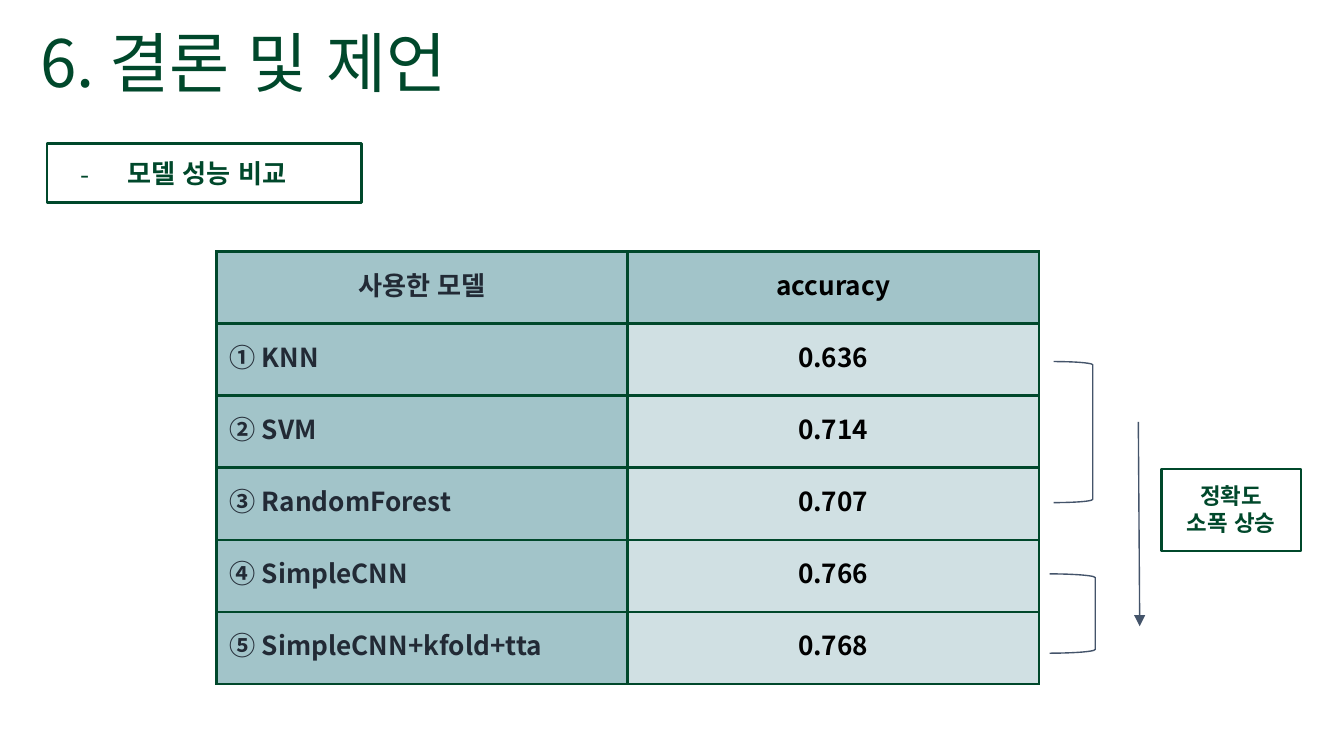
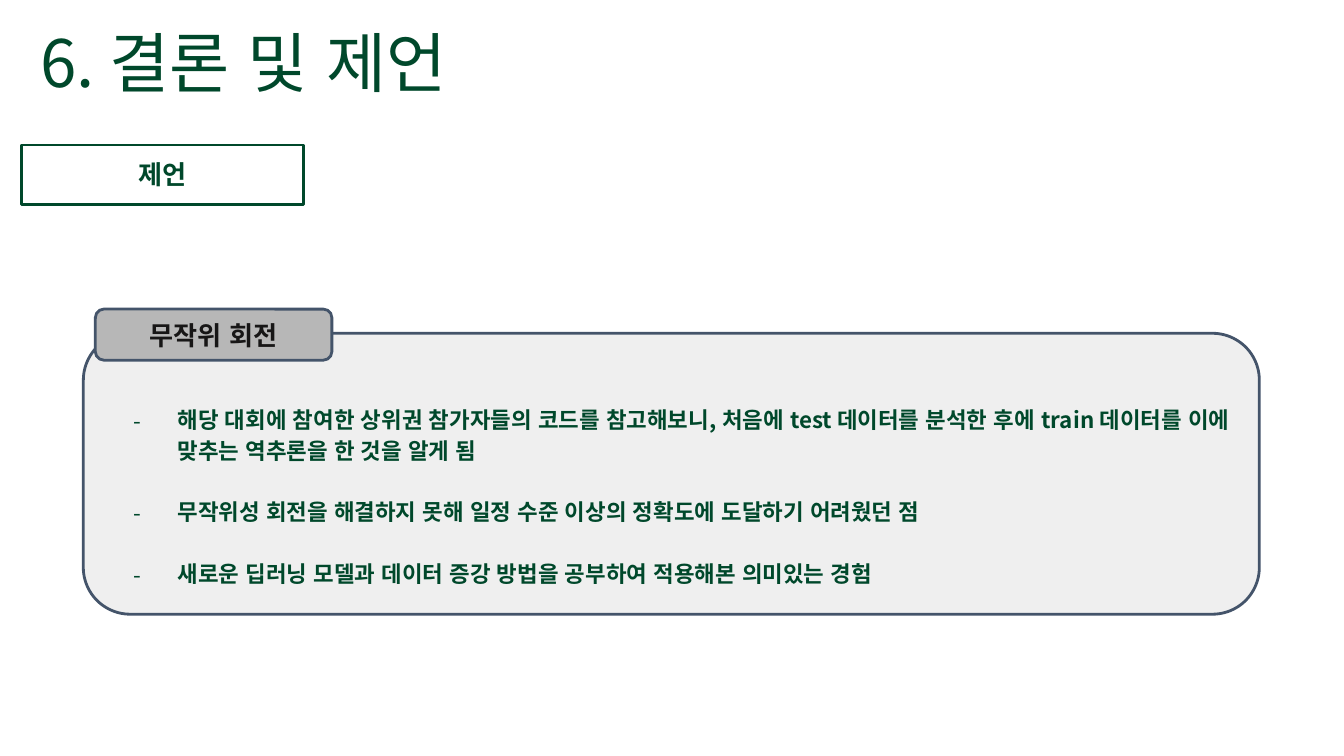
from pptx import Presentation
from pptx.dml.color import RGBColor
from pptx.enum.lang import MSO_LANGUAGE_ID
from pptx.enum.shapes import MSO_CONNECTOR, MSO_SHAPE
from pptx.enum.text import MSO_ANCHOR, MSO_AUTO_SIZE, PP_ALIGN
from pptx.oxml.ns import qn
from pptx.util import Inches, Pt
from lxml.etree import SubElement

FONT = "Noto Sans CJK KR"
GREEN, SLATE, TEAL, PALE_TEAL = "00482B", "44546A", "A2C4C9", "D0E0E3"
hex_color = RGBColor.from_string


def write_text(frame, lines, size, color=GREEN, bold=True, align=PP_ALIGN.LEFT,
               hanging=None, line_spacing=None, gap=None):
    """Write one paragraph per line; hanging is the dash bullet's outdent in inches."""
    for index, line in enumerate(lines):
        paragraph = frame.paragraphs[0] if index == 0 else frame.add_paragraph()
        paragraph.alignment = align
        if line_spacing:
            paragraph.line_spacing = line_spacing
        if gap and index:
            paragraph.space_before = Pt(gap)
        if hanging:
            properties = paragraph._p.get_or_add_pPr()
            properties.set("marL", str(Inches(0.5)))
            properties.set("indent", str(-Inches(hanging)))
            bullet_color = SubElement(properties, qn("a:buClr"))
            SubElement(bullet_color, qn("a:srgbClr"), val=color)
            SubElement(properties, qn("a:buFont"), typeface=FONT)
            SubElement(properties, qn("a:buChar"), char="-")
        run = paragraph.add_run()
        run.text = line
        run.font.name = FONT
        run.font.size = Pt(size)
        run.font.bold = bold
        run.font.language_id = MSO_LANGUAGE_ID.KOREAN
        run.font.color.rgb = hex_color(color)
        SubElement(run._r.get_or_add_rPr(), qn("a:ea"), typeface=FONT)


def add_box(slide, preset, place, line=GREEN, width=1.5, fill=None,
            anchor=MSO_ANCHOR.TOP, grow=False):
    """Add an outlined preset shape with even text margins."""
    shape = slide.shapes.add_shape(preset, *map(Inches, place))
    shape.shadow.inherit = False
    shape.line.color.rgb = hex_color(line)
    shape.line.width = Pt(width)
    if fill:
        shape.fill.solid()
        shape.fill.fore_color.rgb = hex_color(fill)
    else:
        shape.fill.background()
    frame = shape.text_frame
    frame.word_wrap = True
    frame.vertical_anchor = anchor
    frame.margin_left = frame.margin_right = Inches(0.1)
    frame.margin_top = frame.margin_bottom = Inches(0.1)
    if grow:
        frame.auto_size = MSO_AUTO_SIZE.SHAPE_TO_FIT_TEXT
    return shape


presentation = Presentation()
presentation.slide_width = Inches(10)
presentation.slide_height = presentation.slide_width * 9 // 16

# Both slides carry the same title
slides = []
for _ in range(2):
    slide = presentation.slides.add_slide(presentation.slide_layouts[6])
    title = slide.shapes.add_textbox(Inches(0.2), Inches(0.05), Inches(5.67), Inches(0.89))
    title.text_frame.word_wrap = True
    title.text_frame.vertical_anchor = MSO_ANCHOR.MIDDLE
    write_text(title.text_frame, ["6. 결론 및 제언"], 35, bold=False, line_spacing=0.9)
    slides.append(slide)
comparison, suggestions = slides

# Slide 1: model comparison
heading = add_box(comparison, MSO_SHAPE.RECTANGLE, (0.35, 1.07, 2.34, 0.44), grow=True)
write_text(heading.text_frame, ["모델 성능 비교"], 14, hanging=0.35)

rows = [
    ("사용한 모델", "accuracy"),
    ("① KNN", "0.636"),
    ("② SVM", "0.714"),
    ("③ RandomForest", "0.707"),
    ("④ SimpleCNN", "0.766"),
    ("⑤ SimpleCNN+kfold+tta", "0.768"),
]
table_width, table_height = Inches(6.12), Inches(3.22)
table = comparison.shapes.add_table(
    len(rows), 2, Inches(1.61), Inches(1.87), table_width, table_height).table
for row_index, values in enumerate(rows):
    table.rows[row_index].height = table_height // len(rows)
    for column_index, value in enumerate(values):
        cell = table.cell(row_index, column_index)
        cell.margin_left = cell.margin_right = Inches(0.1)
        cell.margin_top = cell.margin_bottom = Inches(0.1)
        for side in ("a:lnL", "a:lnR", "a:lnT", "a:lnB"):
            border = SubElement(cell._tc.get_or_add_tcPr(), qn(side), w=str(Pt(1.5)))
            border_fill = SubElement(border, qn("a:solidFill"))
            SubElement(border_fill, qn("a:srgbClr"), val=GREEN)
        is_label = column_index == 0
        is_header = row_index == 0
        cell.fill.solid()
        cell.fill.fore_color.rgb = hex_color(TEAL if is_label or is_header else PALE_TEAL)
        write_text(cell.text_frame, [value], 14, "222A35" if is_label else "000000",
                   align=PP_ALIGN.LEFT if is_label and not is_header else PP_ALIGN.CENTER)

for place in ((7.84, 2.69, 0.29, 1.05), (7.81, 4.27, 0.34, 0.59)):
    bracket = add_box(comparison, MSO_SHAPE.RIGHT_BRACKET, place, SLATE, 0.75)
    bracket.adjustments[0] = 0.083

arrow = comparison.shapes.add_connector(
    MSO_CONNECTOR.STRAIGHT, Inches(8.47), Inches(3.14), Inches(8.48), Inches(4.66))
arrow.line.color.rgb = hex_color(SLATE)
arrow.line.width = Pt(0.75)
SubElement(arrow.line._get_or_add_ln(), qn("a:tailEnd"), type="triangle")
SubElement(arrow._element.spPr, qn("a:effectLst"))

gain = add_box(comparison, MSO_SHAPE.RECTANGLE, (8.64, 3.49, 1.04, 0.61), grow=True)
write_text(gain.text_frame, ["정확도", "소폭 상승"], 12, align=PP_ALIGN.CENTER)

# Slide 2: suggestions
heading = add_box(suggestions, MSO_SHAPE.RECTANGLE, (0.16, 1.08, 2.1, 0.44), grow=True)
write_text(heading.text_frame, ["제언"], 14, align=PP_ALIGN.CENTER)

panel = add_box(suggestions, MSO_SHAPE.ROUNDED_RECTANGLE, (0.62, 2.48, 8.75, 2.09),
                SLATE, fill="EFEFEF", anchor=MSO_ANCHOR.BOTTOM)
write_text(panel.text_frame, [
    "해당 대회에 참여한 상위권 참가자들의 코드를 참고해보니, 처음에 test 데이터를 "
    "분석한 후에 train 데이터를 이에 맞추는 역추론을 한 것을 알게 됨",
    "무작위성 회전을 해결하지 못해 일정 수준 이상의 정확도에 도달하기 어려웠던 점",
    "새로운 딥러닝 모델과 데이터 증강 방법을 공부하여 적용해본 의미있는 경험",
], 12, hanging=0.33, line_spacing=1.15, gap=16.5)

tab = add_box(suggestions, MSO_SHAPE.ROUNDED_RECTANGLE, (0.71, 2.3, 1.76, 0.38),
              SLATE, fill="B7B7B7", anchor=MSO_ANCHOR.MIDDLE)
write_text(tab.text_frame, ["무작위 회전"], 14, "171616", align=PP_ALIGN.CENTER)

presentation.save("out.pptx")
